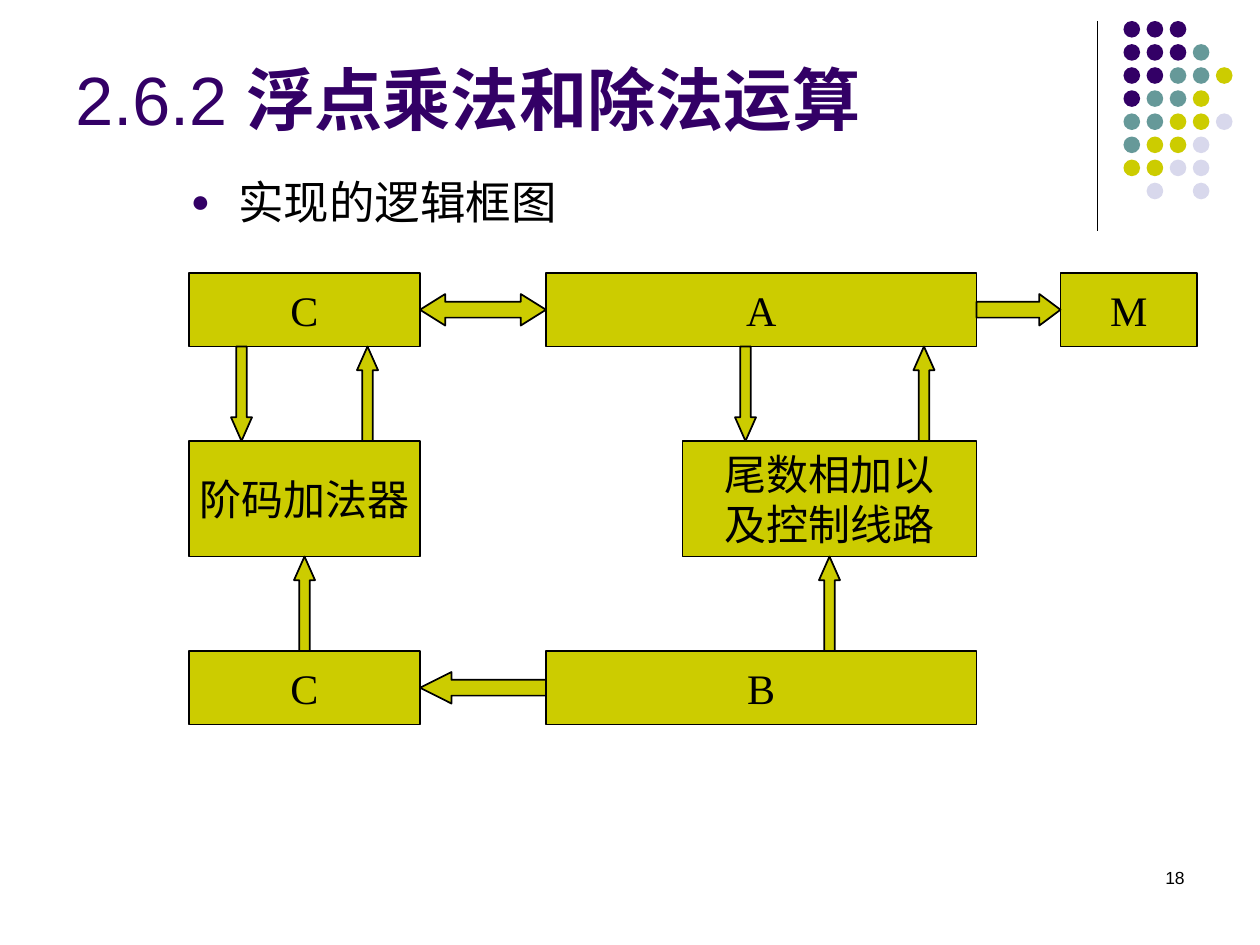
"""Builds the slide on the block diagram for floating-point multiplication and division."""
from lxml import etree
from pptx import Presentation
from pptx.dml.color import RGBColor
from pptx.enum.shapes import MSO_CONNECTOR, MSO_SHAPE
from pptx.enum.text import MSO_ANCHOR, PP_ALIGN
from pptx.oxml.ns import qn
from pptx.util import Pt

RECT, OVAL = MSO_SHAPE.RECTANGLE, MSO_SHAPE.OVAL
UP, DOWN = MSO_SHAPE.UP_ARROW, MSO_SHAPE.DOWN_ARROW
LEFT, RIGHT = MSO_SHAPE.LEFT_ARROW, MSO_SHAPE.RIGHT_ARROW
BOTH = MSO_SHAPE.LEFT_RIGHT_ARROW
STRAIGHT = MSO_CONNECTOR.STRAIGHT
TOP, MIDDLE, BOTTOM = MSO_ANCHOR.TOP, MSO_ANCHOR.MIDDLE, MSO_ANCHOR.BOTTOM
ALIGN_L, ALIGN_C, ALIGN_R = PP_ALIGN.LEFT, PP_ALIGN.CENTER, PP_ALIGN.RIGHT

COLORS = {"purple": "330066", "teal": "669999", "olive": "CCCC00",
          "pale": "D8D8EC", "black": "000000"}
DOT_COLORS = {"p": "purple", "t": "teal", "o": "olive", "l": "pale"}
DOT_ROWS = ["ppp", "pppt", "pptto", "ptto", "ttool", "tool", "ooll", " l l"]

BOXES = [
    (312, 156, 246, 42, ["A"]),
    (312, 372, 246, 42, ["B"]),
    (390, 252, 168, 66, ["尾数相加以", "及控制线路"]),
    (108, 156, 132, 42, ["C"]),
    (108, 372, 132, 42, ["C"]),
    (108, 252, 132, 66, ["阶码加法器"]),
    (606, 156, 78, 42, ["M"]),
]
VERTICAL_ARROWS = [(UP, 468, 318), (UP, 522, 198), (DOWN, 420, 198),
                   (UP, 204, 198), (DOWN, 132, 198), (UP, 168, 318)]
HORIZONTAL_ARROWS = [(LEFT, 240, 384, 72, 1), (BOTH, 240, 168, 72, 0.8),
                     (RIGHT, 558, 168, 48, 0.67)]


def rgb(name):
    """Return the named colour."""
    return RGBColor.from_string(COLORS[name])


def add_run(p, text, size, font, color, bold=False):
    """Append one formatted run to a paragraph."""
    r = p.add_run()
    r.text = text
    r.font.size, r.font.name, r.font.bold = Pt(size), font, bold
    r.font.color.rgb = rgb(color)


def add_shape(s, kind, x, y, w, h, fill, outlined=True):
    """Add a filled preset shape."""
    sp = s.shapes.add_shape(kind, Pt(x), Pt(y), Pt(w), Pt(h))
    sp.shadow.inherit = False
    sp.fill.solid()
    sp.fill.fore_color.rgb = rgb(fill)
    if outlined:
        sp.line.color.rgb = rgb("black")
        sp.line.width = Pt(1)
    else:
        sp.line.fill.background()
    return sp


def add_box(s, x, y, w, h, lines):
    """Add a diagram box with one paragraph per line."""
    tf = add_shape(s, RECT, x, y, w, h, "olive").text_frame
    tf.word_wrap = False
    tf.vertical_anchor = MIDDLE
    for i, line in enumerate(lines):
        p = tf.add_paragraph() if i else tf.paragraphs[0]
        p.alignment = ALIGN_C
        add_run(p, line, 24, "Times New Roman", "black")


def add_arrow(s, kind, x, y, w, h, head):
    """Add a block arrow with the given head length ratio."""
    sp = add_shape(s, kind, x, y, w, h, "olive")
    sp.adjustments[0] = 0.5
    sp.adjustments[1] = head


def add_text(s, x, y, w, h, anchor=TOP, align=ALIGN_L):
    """Add a wrapping text box and return its first paragraph."""
    tf = s.shapes.add_textbox(Pt(x), Pt(y), Pt(w), Pt(h)).text_frame
    tf.word_wrap = True
    tf.vertical_anchor = anchor
    p = tf.paragraphs[0]
    p.alignment = align
    return p


def add_bullet(p, char, color, percent, indent):
    """Give a paragraph a coloured bullet and a hanging indent."""
    pPr = p._p.get_or_add_pPr()
    pPr.set("marL", str(Pt(indent)))
    pPr.set("indent", str(-Pt(indent)))
    clr = etree.SubElement(pPr, qn("a:buClr"))
    etree.SubElement(clr, qn("a:srgbClr"), val=COLORS[color])
    etree.SubElement(pPr, qn("a:buSzPct"), val=str(percent * 1000))
    etree.SubElement(pPr, qn("a:buFont"), typeface="Arial")
    etree.SubElement(pPr, qn("a:buChar"), char=char)


def add_rule(s, x, y1, y2):
    """Add the vertical rule beside the dots."""
    c = s.shapes.add_connector(STRAIGHT, Pt(x), Pt(y1), Pt(x), Pt(y2))
    c.line.color.rgb = rgb("black")
    c.line.width = Pt(0.75)
    etree.SubElement(c._element.spPr, qn("a:effectLst"))


def add_dots(s, x, y, size, pitch):
    """Add the grid of coloured dots."""
    for row, keys in enumerate(DOT_ROWS):
        for col, key in enumerate(keys):
            if key in DOT_COLORS:
                add_shape(s, OVAL, x + col * pitch, y + row * pitch,
                          size, size, DOT_COLORS[key], outlined=False)


def main():
    """Build and save the slide."""
    prs = Presentation()
    prs.slide_width, prs.slide_height = Pt(720), Pt(540)
    s = prs.slides.add_slide(prs.slide_layouts[6])

    add_rule(s, 627, 12, 132)
    add_dots(s, 642, 12, 9.5, 13.2)

    p = add_text(s, 516, 492, 168, 36, align=ALIGN_R)
    add_run(p, "18", 10, "Arial", "black")

    p = add_text(s, 36, 9, 594, 74, anchor=BOTTOM)
    add_run(p, "2.6.2 ", 39, "Arial", "purple")
    add_run(p, "浮点乘法和除法运算", 39, "Arial", "purple", bold=True)

    p = add_text(s, 102, 96, 600, 372)
    p.space_before = Pt(6.5)
    add_bullet(p, "●", "purple", 70, 27)
    add_run(p, "实现的逻辑框图", 26, "Arial", "black")

    for x, y, w, h, lines in BOXES:
        add_box(s, x, y, w, h, lines)
    for kind, x, y in VERTICAL_ARROWS:
        add_arrow(s, kind, x, y, 12, 54, 1.13)
    for kind, x, y, w, head in HORIZONTAL_ARROWS:
        add_arrow(s, kind, x, y, w, 18, head)

    prs.save("out.pptx")


main()
